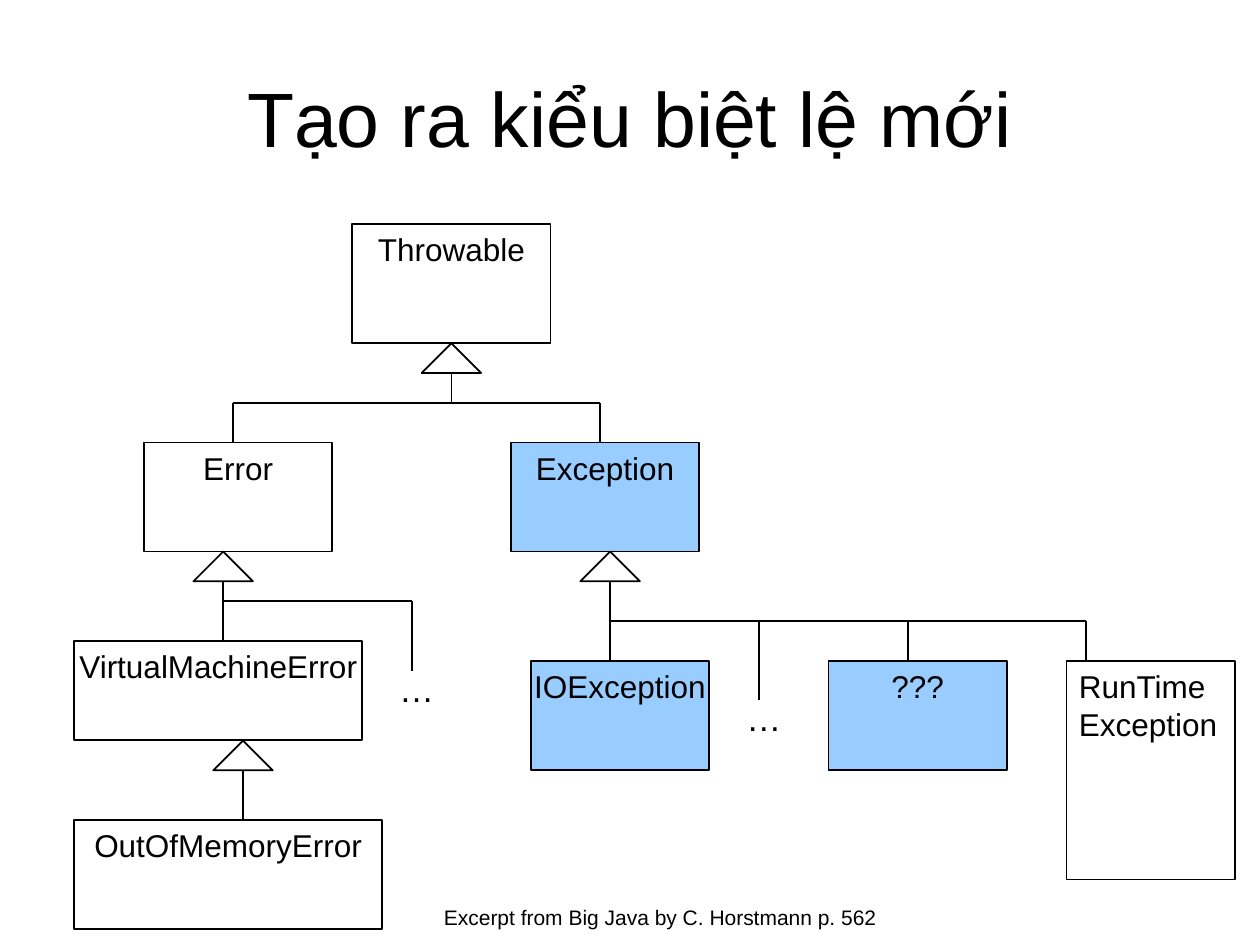
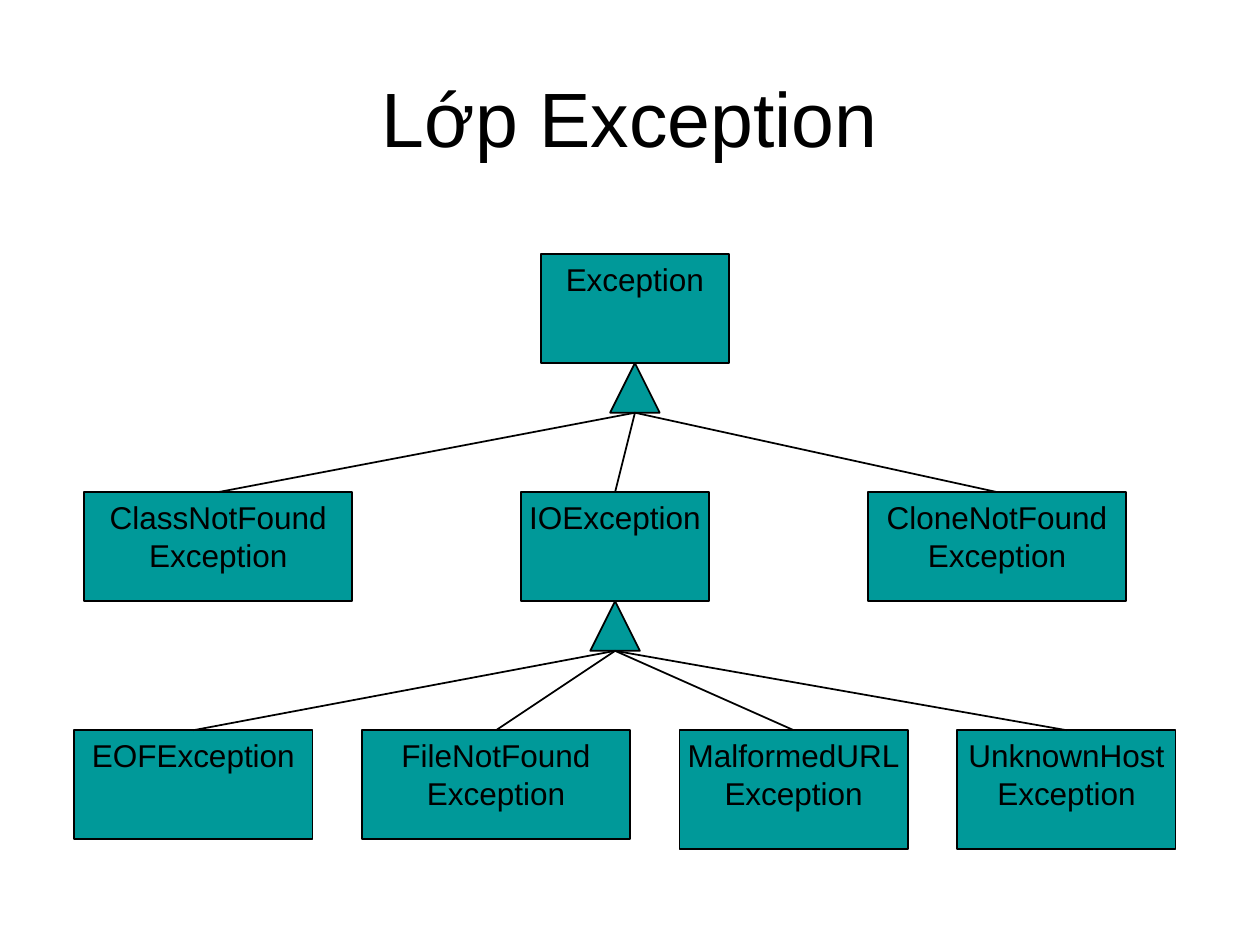
from lxml import etree
from pptx import Presentation
from pptx.dml.color import RGBColor
from pptx.enum.shapes import MSO_CONNECTOR, MSO_SHAPE
from pptx.enum.text import MSO_ANCHOR, PP_ALIGN
from pptx.oxml.ns import qn
from pptx.util import Cm, Pt

RECTANGLE = MSO_SHAPE.RECTANGLE
TRIANGLE = MSO_SHAPE.ISOSCELES_TRIANGLE
STRAIGHT = MSO_CONNECTOR.STRAIGHT
TOP, MIDDLE = MSO_ANCHOR.TOP, MSO_ANCHOR.MIDDLE
LEFT, CENTER = PP_ALIGN.LEFT, PP_ALIGN.CENTER

COLORS = {"ink": "000000", "paper": "FFFFFF", "sky": "99CCFF", "teal": "009999"}
FONT = "Arial"
LINE_WIDTH = Pt(1)


def color(name):
    return RGBColor.from_string(COLORS[name])


def write(frame, lines, size, align=CENTER, anchor=TOP, wrap=True):
    frame.word_wrap = wrap
    frame.vertical_anchor = anchor
    for index, line in enumerate(lines):
        paragraph = frame.paragraphs[0] if index == 0 else frame.add_paragraph()
        paragraph.alignment = align
        run = paragraph.add_run()
        run.text = line
        run.font.name = FONT
        run.font.size = Pt(size)
        run.font.color.rgb = color("ink")


def add_label(slide, text, left, top, width, height, size, align=CENTER, anchor=TOP):
    label = slide.shapes.add_textbox(Cm(left), Cm(top), Cm(width), Cm(height))
    write(label.text_frame, [text], size, align, anchor)


def add_title(slide, text):
    add_label(slide, text, 1.27, 0.76, 22.86, 3.18, 44, anchor=MIDDLE)


def add_ellipsis(slide, left, top):
    add_label(slide, "…", left, top, 1.4, 1.1, 20)


def add_outlined(slide, preset, left, top, width, height, fill):
    outlined = slide.shapes.add_shape(preset, Cm(left), Cm(top), Cm(width), Cm(height))
    outlined.shadow.inherit = False
    if fill:
        outlined.fill.solid()
        outlined.fill.fore_color.rgb = color(fill)
    else:
        outlined.fill.background()
    outlined.line.color.rgb = color("ink")
    outlined.line.width = LINE_WIDTH
    return outlined


def add_class(slide, name, left, top, width, height=2.2, fill=None, align=CENTER):
    class_box = add_outlined(slide, RECTANGLE, left, top, width, height, fill)
    write(class_box.text_frame, name.split("\n"), 18, align, wrap=False)


def add_inheritance_mark(slide, tip_x, tip_y, width=1.2, height=0.6, fill=None):
    add_outlined(slide, TRIANGLE, tip_x - width / 2, tip_y, width, height, fill)


def add_line(slide, x1, y1, x2, y2):
    line = slide.shapes.add_connector(STRAIGHT, Cm(x1), Cm(y1), Cm(x2), Cm(y2))
    line.line.color.rgb = color("ink")
    line.line.width = LINE_WIDTH
    etree.SubElement(line._element.spPr, qn("a:effectLst"))


def add_branches(slide, bus_y, drops):
    xs = [x for x, _ in drops]
    add_line(slide, min(xs), bus_y, max(xs), bus_y)
    for x, end_y in drops:
        add_line(slide, x, bus_y, x, end_y)


def add_fan(slide, tip_x, tip_y, children):
    add_inheritance_mark(slide, tip_x, tip_y, 1, 1, "teal")
    top = tip_y + 1.6 + 1
    for name, left, width, height in children:
        add_class(slide, name, left, top, width, height, "teal")
        add_line(slide, tip_x, tip_y + 1, left + width / 2, top)


def build_new_exception_slide(slide):
    add_title(slide, "Tạo ra kiểu biệt lệ mới")

    add_class(slide, "Throwable", 7.1, 4.52, 4, 2.4)
    add_class(slide, "Error", 2.9, 8.92, 3.8)
    add_class(slide, "VirtualMachineError", 1.5, 12.92, 5.8, 2)
    add_class(slide, "OutOfMemoryError", 1.5, 16.53, 6.2)
    add_class(slide, "Exception", 10.3, 8.92, 3.8, fill="sky")
    add_class(slide, "IOException", 10.7, 13.33, 3.6, fill="sky")
    add_class(slide, "???", 16.7, 13.33, 3.6, fill="sky")
    add_class(slide, "RunTime\nException", 21.5, 13.33, 3.4, 4.4, align=LEFT)

    for x, parent_bottom, stem_end in (
        (9.1, 6.92, 8.12),
        (4.5, 11.12, 12.12),
        (4.9, 14.93, 16.53),
        (12.3, 11.12, 12.52),
    ):
        add_inheritance_mark(slide, x, parent_bottom)
        add_line(slide, x, parent_bottom + 0.6, x, stem_end)

    add_branches(slide, 8.12, [(4.7, 8.92), (12.1, 8.92)])
    add_branches(slide, 12.12, [(4.5, 12.92), (8.3, 13.52)])
    add_branches(slide, 12.52, [(12.3, 13.33), (15.3, 14.12), (18.3, 13.33), (21.9, 13.33)])

    add_ellipsis(slide, 7.7, 13.33)
    add_ellipsis(slide, 14.7, 13.92)
    add_label(slide, "Excerpt from Big Java by C. Horstmann p. 562",
              8.7, 18.11, 9.8, 0.76, 12, LEFT)


def build_exception_class_slide(slide):
    add_title(slide, "Lớp Exception")
    add_class(slide, "Exception", 10.9, 5.12, 3.8, fill="teal")
    add_fan(slide, 12.8, 7.32, [
        ("ClassNotFound\nException", 1.7, 5.4, 2.2),
        ("IOException", 10.5, 3.8, 2.2),
        ("CloneNotFound\nException", 17.5, 5.2, 2.2),
    ])
    add_fan(slide, 12.4, 12.12, [
        ("EOFException", 1.5, 4.8, 2.2),
        ("FileNotFound\nException", 7.3, 5.4, 2.2),
        ("MalformedURL\nException", 13.7, 4.6, 2.4),
        ("UnknownHost\nException", 19.3, 4.4, 2.4),
    ])


def main():
    deck = Presentation()
    deck.slide_width, deck.slide_height = Cm(25.4), Cm(19.05)
    blank = deck.slide_layouts[6]
    for build in (build_new_exception_slide, build_exception_class_slide):
        slide = deck.slides.add_slide(blank)
        slide.background.fill.solid()
        slide.background.fill.fore_color.rgb = color("paper")
        build(slide)
    deck.save("out.pptx")


if __name__ == "__main__":
    main()
